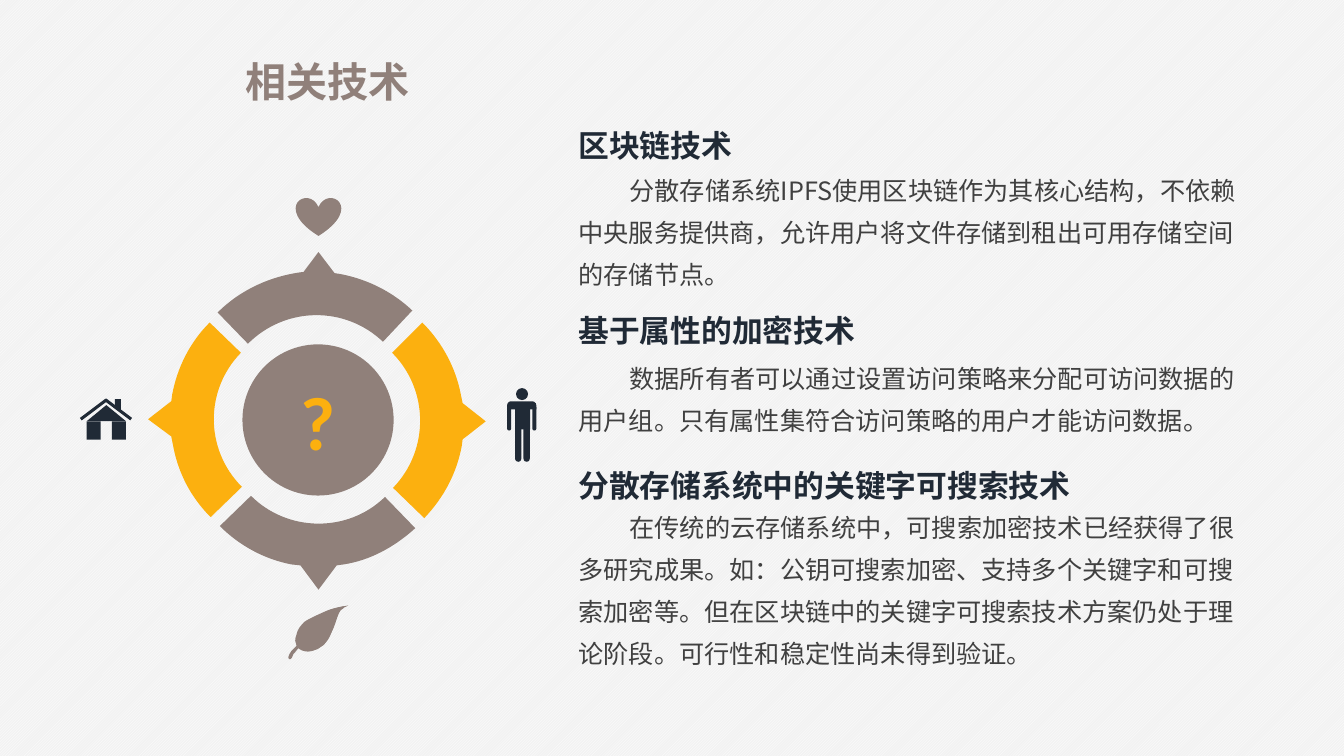
from pptx import Presentation
from pptx.dml.color import RGBColor
from pptx.enum.dml import MSO_PATTERN
from pptx.enum.shapes import MSO_SHAPE as Preset
from pptx.enum.text import MSO_ANCHOR, MSO_AUTO_SIZE, PP_ALIGN
from pptx.oxml import parse_xml
from pptx.oxml.ns import nsdecls
from pptx.util import Pt

TAUPE = RGBColor(0x90, 0x80, 0x7A)
AMBER = RGBColor(0xFC, 0xB0, 0x0F)
NAVY = RGBColor(0x20, 0x2A, 0x36)
GRAY = RGBColor(0x40, 0x40, 0x40)
PALE = RGBColor(0xF2, 0xF2, 0xF2)
WHITE = RGBColor(0xFF, 0xFF, 0xFF)
CJK = "Noto Sans CJK SC"

TITLE = ("相关技术", (168.5, 36.7, 131.8, 42.5))
TEXT_LEFT, BODY_WIDTH = 406.1, 493.9

TOPICS = [
    ("区块链技术", 87.1, 124.6,
     "分散存储系统IPFS使用区块链作为其核心结构，不依赖中央服务提供商，"
     "允许用户将文件存储到租出可用存储空间的存储节点。", 113.4, 97.9),
    ("基于属性的加密技术", 219.2, 212.4,
     "数据所有者可以通过设置访问策略来分配可访问数据的用户组。"
     "只有属性集符合访问策略的用户才能访问数据。", 247.7, 67.7),
    ("分散存储系统中的关键字可搜索技术", 329.8, 366.5,
     "在传统的云存储系统中，可搜索加密技术已经获得了很多研究成果。"
     "如：公钥可搜索加密、支持多个关键字和可搜索加密等。"
     "但在区块链中的关键字可搜索技术方案仍处于理论阶段。"
     "可行性和稳定性尚未得到验证。", 354, 128.2),
]

RING = [
    (AMBER, [
        (301.7, 230.4), (316.1, 244.8, 325.4, 262.8, 329, 280.8),
        (330.5, 288), (347, 301), (330.5, 313.9), (329.8, 319),
        (326.2, 337.7, 317.5, 355, 303.1, 370.1), (280.8, 348.5),
        (306.7, 321.8, 306.7, 278.6, 280.1, 252)]),
    (AMBER, [
        (149.8, 230.4), (172.1, 252),
        (146.2, 278.6, 146.2, 321.1, 172.8, 347.8), (150.5, 369.4),
        (136.1, 355, 127.4, 337.7, 123.8, 319),
        (122.4, 311.8), (105.8, 299.5), (122.4, 286.6), (123.1, 281.5),
        (126.7, 262.8, 135.4, 244.8, 149.8, 230.4)]),
    (TAUPE, [
        (179.3, 354.2), (205.2, 380.2, 248.4, 380.9, 275, 355),
        (296.6, 377.3), (281.5, 391, 264.2, 400.3, 245.5, 403.2),
        (240.5, 403.9), (227.5, 421.2), (214.6, 403.9), (208.1, 403.2),
        (189.4, 399.6, 171.4, 390.2, 157, 375.8)]),
    (TAUPE, [
        (227.5, 180), (239, 195.1), (243.4, 195.8),
        (262.1, 199.4, 280.1, 208.1, 294.5, 221.8), (273.6, 244.1),
        (246.2, 218.2, 203.8, 218.9, 177.1, 245.5), (155.5, 223.2),
        (172.1, 206.6, 193.7, 197.3, 215.3, 194.4), (216.7, 194.4)]),
]

HEART = [(Preset.HEART, (211.3, 141.1, 32.4, 27.4), 0, None)]
PERSON = [
    (Preset.OVAL, (368.6, 277.2, 8.6, 8.6), 0, None),
    (Preset.ROUND_2_SAME_RECTANGLE, (362.2, 286.6, 20.9, 5.8), 0, (0.5, 0)),
    (Preset.RECTANGLE, (367.9, 292.3, 10.8, 14.4), 0, None),
] + [
    (Preset.ROUND_2_SAME_RECTANGLE, box, 180, (0.5, 0))
    for box in ((367.9, 306, 4.5, 23.8), (373.9, 306, 4.5, 23.8),
                (362.2, 290.9, 2.9, 16.6), (380.2, 290.9, 2.9, 16.6))
]
HOUSE = [
    (Preset.RECTANGLE, (55.4, 291.4, 23, 2.2), 323, None),
    (Preset.RECTANGLE, (73, 291.4, 23, 2.2), 37, None),
    (Preset.ISOSCELES_TRIANGLE, (61.9, 289.4, 28.1, 11.5), 0, None),
    (Preset.RECTANGLE, (61.9, 301, 10.1, 13), 0, None),
    (Preset.RECTANGLE, (79.9, 301, 10.1, 13), 0, None),
    (Preset.SNIP_1_RECTANGLE, (82.1, 285.1, 4.3, 7.9), 180, (0.5,)),
]
LEAF = [
    [(211.7, 460.8), (211, 458.6, 210.2, 457.2, 211.7, 453.6),
     (212.4, 449.3, 215.3, 446.4, 217.4, 444.2),
     (220.3, 442.1, 228.2, 438.5, 233.3, 436.3),
     (238.3, 434.2, 246.2, 432.7, 248.4, 432.7),
     (249.8, 432, 245.5, 433.4, 244.1, 434.9),
     (243.4, 435.6, 242.6, 435.6, 241.2, 438.5),
     (240.5, 441.4, 238.3, 447.8, 236.9, 451.4),
     (234.7, 455.8, 232.6, 458.6, 230.4, 460.8),
     (228.2, 463, 224.6, 464.4, 221.8, 465.1),
     (219.6, 465.8, 216.7, 465.1, 215.3, 464.4),
     (213.1, 463.7, 211.7, 462.2, 211.7, 460.8)],
    [(214.6, 460.8), (213.8, 462.2, 211, 465.8, 209.5, 467.3),
     (208.8, 469.4, 208.1, 470.9, 207.4, 470.9),
     (206.6, 471.6, 205.9, 470.2, 205.9, 469.4),
     (205.9, 468, 207.4, 466.6, 208.1, 465.1),
     (209.5, 463.7, 212.4, 460.8, 213.1, 460.1),
     (213.8, 459.4, 215.3, 459.4, 214.6, 460.8)],
    [(248.4, 432.7), (250.6, 432, 245.5, 433.4, 244.8, 434.9),
     (243.4, 435.6, 243.4, 435.6, 241.9, 438.5),
     (240.5, 441.4, 239, 447.8, 236.9, 451.4),
     (235.4, 455.8, 233.3, 458.6, 231.1, 460.8),
     (226.8, 463.7), (222.5, 465.1), (218.9, 465.1), (226.8, 439.9),
     (229.7, 438.5), (231.1, 437.8, 232.6, 437, 234, 436.3),
     (239, 434.2, 247, 432.7, 248.4, 432.7)],
    [(212.4, 460.1), (213.8, 458.6, 218.2, 453.6, 221, 450.7),
     (223.9, 448.6, 228.2, 445, 229, 445),
     (229.7, 445, 225.4, 447.8, 223.2, 450),
     (221.8, 452.2, 218.9, 455, 216.7, 457.2),
     (215.3, 459.4, 214.6, 461.5, 213.1, 461.5),
     (212.4, 462.2, 211.7, 462.2, 212.4, 460.1)],
]
HUB = (173.2, 246, 108, 108)
GRID = 10

deck = Presentation()
deck.slide_width, deck.slide_height = Pt(960), Pt(540)
slide = deck.slides.add_slide(deck.slide_layouts[6])
backdrop = slide.background.fill
backdrop.patterned()
backdrop.pattern = MSO_PATTERN.LIGHT_UPWARD_DIAGONAL
backdrop.fore_color.rgb, backdrop.back_color.rgb = WHITE, PALE


def paint(shape, color):
    shape.shadow.inherit = False
    shape.fill.solid()
    shape.fill.fore_color.rgb = color
    shape.line.fill.background()


def write(text, box=None, holder=None, size=18, color=GRAY, bold=False, font=CJK,
          wrap=False, spacing=None, indent=0, align=PP_ALIGN.LEFT):
    holder = holder or slide.shapes.add_textbox(*map(Pt, box))
    frame = holder.text_frame
    frame.word_wrap = wrap
    frame.auto_size = MSO_AUTO_SIZE.SHAPE_TO_FIT_TEXT if box else MSO_AUTO_SIZE.NONE
    paragraph = frame.paragraphs[0]
    paragraph.alignment = align
    if spacing:
        paragraph.line_spacing = Pt(spacing)
    if indent:
        properties = paragraph._p.get_or_add_pPr()
        properties.set("marL", "0")
        properties.set("indent", str(Pt(indent)))
    run = paragraph.add_run()
    run.text = text
    run.font.size, run.font.bold, run.font.name = Pt(size), bold, font
    run.font.color.rgb = color
    run._r.get_or_add_rPr().append(
        parse_xml(f'<a:ea {nsdecls("a")} typeface="{CJK}"/>'))


def draw_outline(shapes, segments, color):
    corners = [tuple(round(v * GRID) for v in segment[-2:]) for segment in segments]
    left, top = map(min, zip(*corners))
    builder = shapes.build_freeform(*corners[0], scale=Pt(1) / GRID)
    builder.add_line_segments(corners[1:], close=True)
    outline = builder.convert_to_shape()
    for line, segment in zip(outline._element.xpath(".//a:lnTo"), segments[1:]):
        if len(segment) == 6:
            points = "".join(
                f'<a:pt x="{round(x * GRID) - left}" y="{round(y * GRID) - top}"/>'
                for x, y in zip(segment[::2], segment[1::2]))
            line.getparent().replace(line, parse_xml(
                f'<a:cubicBezTo {nsdecls("a")}>{points}</a:cubicBezTo>'))
    paint(outline, color)


def draw_icon(shapes, parts, color):
    for preset, box, turn, adjustments in parts:
        part = shapes.add_shape(preset, *map(Pt, box))
        part.rotation = turn
        for index, value in enumerate(adjustments or ()):
            part.adjustments[index] = value
        paint(part, color)


write(*TITLE, size=29.3, color=TAUPE, bold=True, font="Arial")
for heading, heading_top, heading_width, body, body_top, body_height in TOPICS:
    write(heading, (TEXT_LEFT, heading_top, heading_width, 33.8),
          size=22, color=NAVY, bold=True)
    write(body, (TEXT_LEFT, body_top, BODY_WIDTH, body_height),
          wrap=True, spacing=30, indent=36.5)

for color, segments in RING:
    draw_outline(slide.shapes, segments, color)

draw_icon(slide.shapes, HEART, TAUPE)
for icon in (PERSON, HOUSE):
    draw_icon(slide.shapes.add_group_shape().shapes, icon, NAVY)
leaf = slide.shapes.add_group_shape()
for piece in LEAF:
    draw_outline(leaf.shapes, piece, TAUPE)

hub = slide.shapes.add_shape(Preset.OVAL, *map(Pt, HUB))
paint(hub, TAUPE)
hub.text_frame.vertical_anchor = MSO_ANCHOR.MIDDLE
write("?", holder=hub, size=54, color=AMBER, bold=True, font="Calibri",
      wrap=True, align=PP_ALIGN.CENTER)

deck.save("out.pptx")
